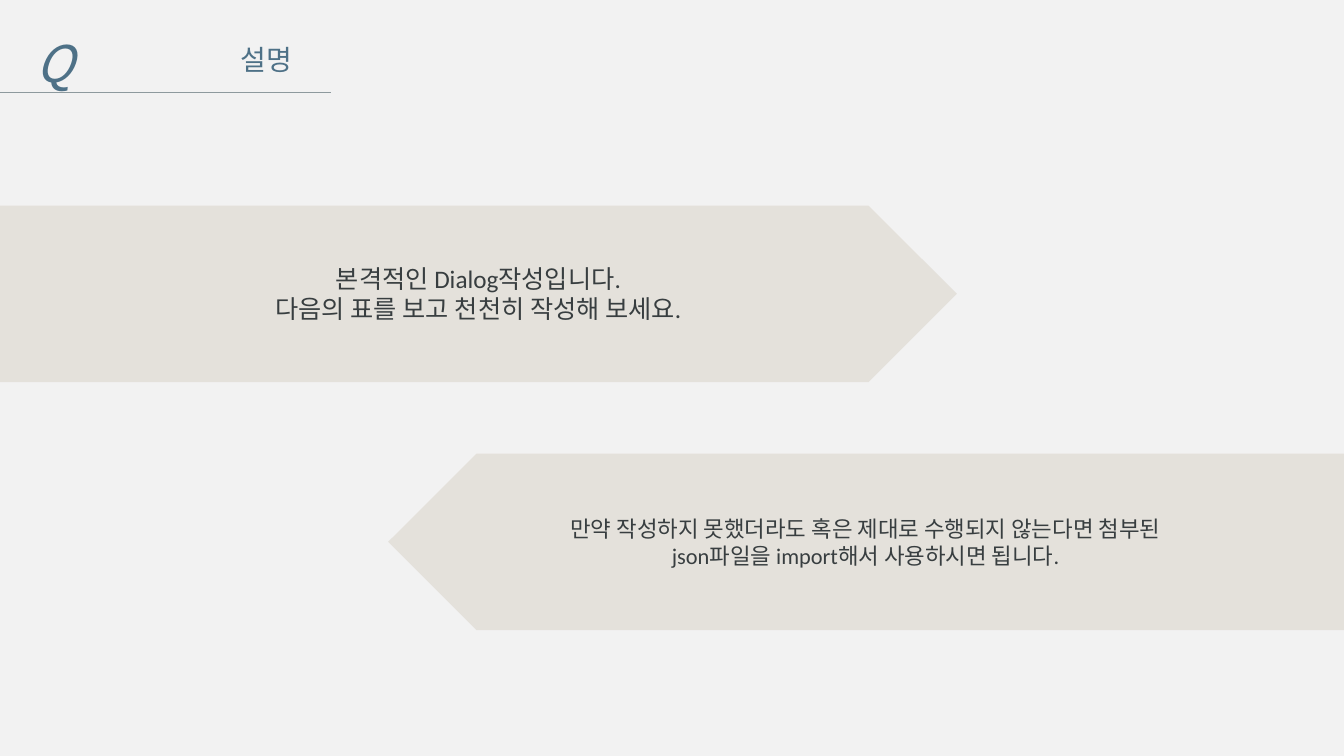
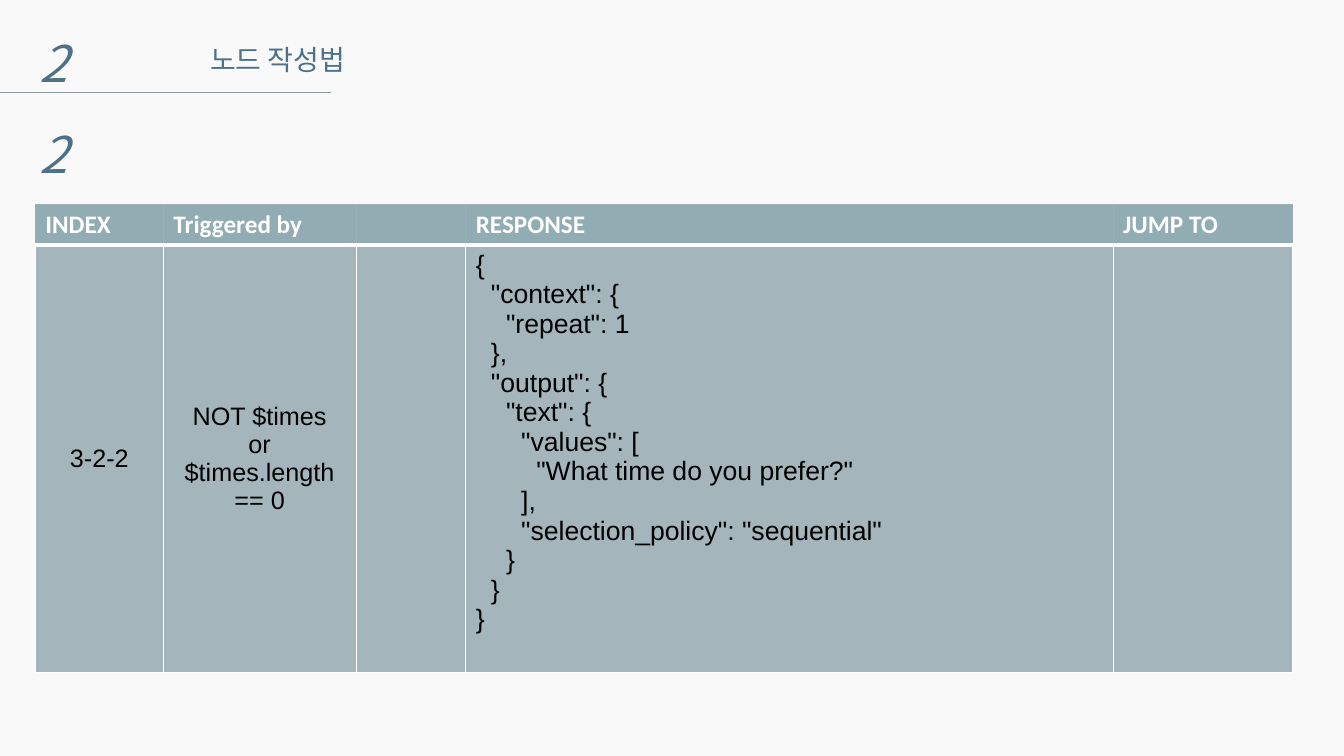
from lxml import etree
from pptx import Presentation
from pptx.dml.color import RGBColor
from pptx.enum import shapes, text
from pptx.oxml import ns
from pptx.util import Inches, Pt


class Theme:
    blue = "4E7187"
    rule = "8E9A9E"
    sand = "D1CABC"
    ink = "383E40"
    black = "000000"
    white = "FFFFFF"
    header = "92ACB3"
    header_edge = "9BAFB5"
    body = "A4B6BC"
    title = {"name": "Arial", "size": Pt(20), "bold": False}
    mark = {"name": "Noto Sans CJK KR", "size": Pt(36), "italic": True}
    lead = {"name": "Calibri", "size": Pt(18)}
    note = {"name": "Calibri", "size": Pt(16)}
    column = {"name": "Calibri", "size": Pt(18), "bold": True}
    value = {"name": "Arial", "size": Pt(18), "bold": False}
    code = {"name": "Arial", "size": Pt(19), "bold": False}


def write(frame, lines, style, color, align=text.PP_ALIGN.CENTER, spacing=1.0):
    for number, line in enumerate(lines):
        para = frame.add_paragraph() if number else frame.paragraphs[0]
        para.alignment = align
        para.line_spacing = spacing
        span = para.add_run()
        span.text = line
        for name, setting in style.items():
            setattr(span.font, name, setting)
        span.font.color.rgb = RGBColor.from_string(color)


def draw_border(cell, position, side, color, width):
    line = etree.Element(ns.qn(f"a:{side}"), w=str(Pt(width)))
    fill = etree.SubElement(line, ns.qn("a:solidFill"))
    etree.SubElement(fill, ns.qn("a:srgbClr"), val=color)
    cell._tc.get_or_add_tcPr().insert(position, line)


deck = Presentation()
deck.slide_width = Inches(13.33)
deck.slide_height = Inches(7.5)

headings = [
    ("설명", "Q", 2.26, 0.76, "F2F2F2"),
    ("노드 작성법", "22", 1.94, 1.63, "F9F9F9"),
]
pages = []
for heading, mark, left, width, background in headings:
    page = deck.slides.add_slide(deck.slide_layouts[5])
    page.background.fill.solid()
    page.background.fill.fore_color.rgb = RGBColor.from_string(background)

    title = page.shapes.title
    title.left, title.top = Inches(left), Inches(0.2)
    title.width, title.height = Inches(width), Inches(0.6)
    frame_format = {
        "word_wrap": False,
        "auto_size": text.MSO_AUTO_SIZE.NONE,
        "vertical_anchor": text.MSO_ANCHOR.TOP,
    }
    for name, setting in frame_format.items():
        setattr(title.text_frame, name, setting)
    write(title.text_frame, [heading], Theme.title, Theme.blue, spacing=1.5)

    rule = page.shapes.add_connector(
        shapes.MSO_CONNECTOR.STRAIGHT, 0, Inches(0.92), Inches(3.28), Inches(0.92)
    )
    rule.line.color.rgb = RGBColor.from_string(Theme.rule)
    rule.line.width = Pt(0.5)
    etree.SubElement(rule._element.spPr, ns.qn("a:effectLst"))

    box = page.shapes.add_textbox(Inches(0.25), Inches(-0.03), Inches(0.56), Inches(0.91))
    box.text_frame.word_wrap = True
    write(box.text_frame, [mark], Theme.mark, Theme.blue, spacing=1.5)
    pages.append(page)

intro, nodes = pages

banners = [
    (0, 2.04, 0, (0.68, 2.56, 8.13, 0.71), Theme.lead,
     ["본격적인 Dialog작성입니다.", "다음의 표를 보고 천천히 작성해 보세요."]),
    (3.85, 4.5, 180, (4.38, 5.06, 8.41, 0.64), Theme.note,
     ["만약 작성하지 못했더라도 혹은 제대로 수행되지 않는다면 첨부된",
      "json파일을 import해서 사용하시면 됩니다."]),
]
for left, top, rotation, area, style, lines in banners:
    arrow = intro.shapes.add_shape(
        shapes.MSO_SHAPE.PENTAGON, Inches(left), Inches(top), Inches(9.49), Inches(1.75)
    )
    arrow.rotation = rotation
    arrow.shadow.inherit = False
    arrow.fill.solid()
    arrow.fill.fore_color.rgb = RGBColor.from_string(Theme.sand)
    arrow.line.fill.background()
    tint = arrow._element.spPr.find(ns.qn("a:solidFill"))[0]
    etree.SubElement(tint, ns.qn("a:alpha"), val="41000")

    box = intro.shapes.add_textbox(*map(Inches, area))
    box.text_frame.word_wrap = True
    write(box.text_frame, lines, style, Theme.ink)

columns = [
    ("INDEX", 1.27),
    ("Triggered by", 1.91),
    ("", 1.09),
    ("RESPONSE", 6.42),
    ("JUMP TO", 1.78),
]
response = [
    (0, '{'),
    (1, '"context": {'),
    (2, '"repeat": 1'),
    (1, '},'),
    (1, '"output": {'),
    (2, '"text": {'),
    (3, '"values": ['),
    (4, '"What time do you prefer?"'),
    (3, '],'),
    (3, '"selection_policy": "sequential"'),
    (2, '}'),
    (1, '}'),
    (0, '}'),
]
table = nodes.shapes.add_table(
    2, len(columns), Inches(0.35), Inches(2.03), Inches(12.47), Inches(4.62)
).table
table.rows[0].height = Inches(0.38)
table.rows[1].height = Inches(4.24)

for index, (label, width) in enumerate(columns):
    table.columns[index].width = Inches(width)
    if label:
        write(table.cell(0, index).text_frame, [label], Theme.column, Theme.white,
              text.PP_ALIGN.LEFT)

triggers = [["3-2-2"], ["NOT $times", "or", "$times.length == 0"]]
for index, lines in enumerate(triggers):
    cell = table.cell(1, index)
    cell.vertical_anchor = text.MSO_ANCHOR.MIDDLE
    write(cell.text_frame, lines, Theme.value, Theme.black)

code = table.cell(1, 3).text_frame
write(code, [line for level, line in response], Theme.code, Theme.black,
      text.PP_ALIGN.LEFT)
for para, (level, line) in zip(code.paragraphs, response):
    para._p.get_or_add_pPr().set("marL", str(Inches(0.15 * level)))

row_looks = [
    (Theme.header, Theme.header_edge, (Theme.header_edge, 0.5), (Theme.white, 2.5)),
    (Theme.body, Theme.white, (Theme.white, 2.5), (Theme.white, 0.5)),
]
for row, (fill, side_color, top_edge, bottom_edge) in zip(table.rows, row_looks):
    side_edge = (side_color, 0.5)
    edges = {"lnL": side_edge, "lnR": side_edge, "lnT": top_edge, "lnB": bottom_edge}
    for cell in row.cells:
        cell.fill.solid()
        cell.fill.fore_color.rgb = RGBColor.from_string(fill)
        for position, (side, edge) in enumerate(edges.items()):
            draw_border(cell, position, side, *edge)

deck.save("out.pptx")
